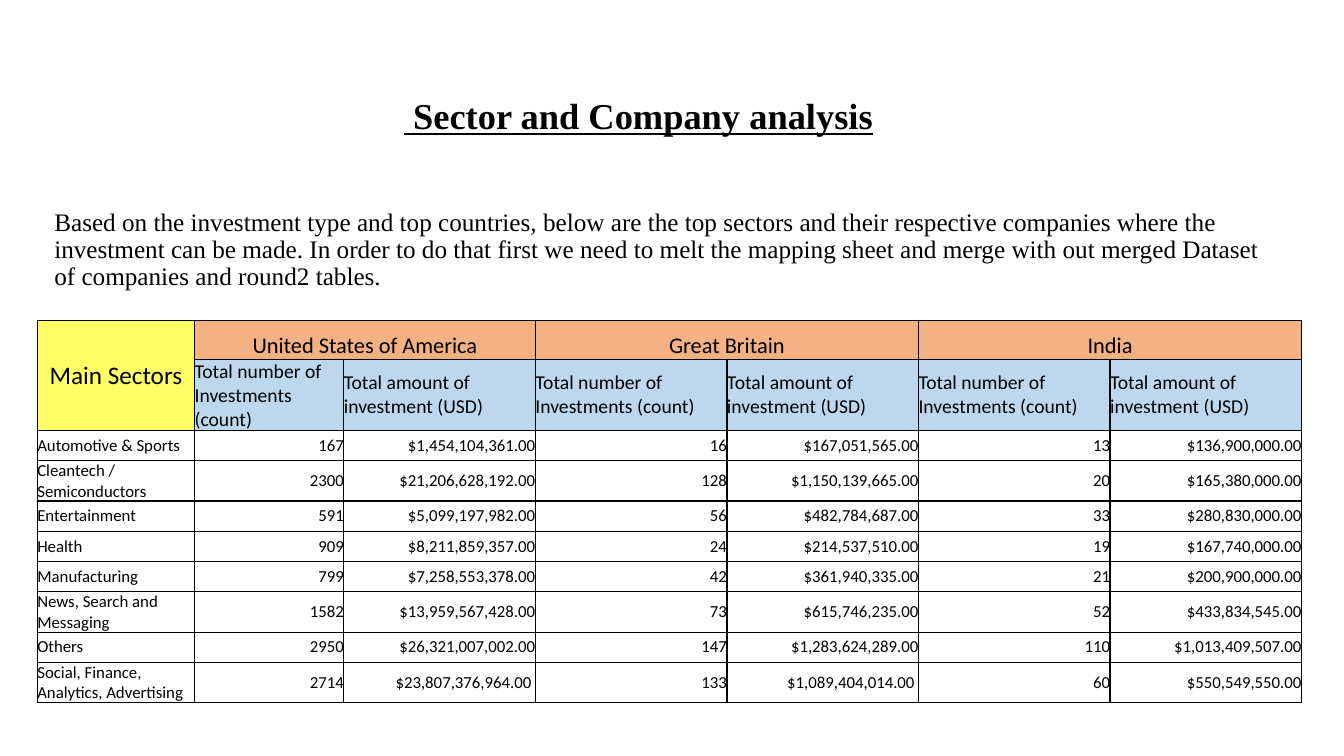
from dataclasses import dataclass

from lxml import etree
from pptx import Presentation
from pptx.dml.color import RGBColor
from pptx.enum import text as t
from pptx.oxml.ns import qn
from pptx.util import Inches, Pt


@dataclass(frozen=True)
class Theme:
    ink: str = "000000"
    corner: str = "FFFF66"
    country: str = "F4B183"
    measure: str = "BDD7EE"
    serif: str = "Times New Roman"
    sans: str = "Calibri"
    title: int = 26
    lead: int = 18
    group: int = 16
    head: int = 14
    data: int = 12
    rule: int = 1


THEME = Theme()
ALIGN = t.PP_ALIGN
ANCHOR = t.MSO_ANCHOR

TITLE = " Sector and Company analysis"
INTRO = (
    "Based on the investment type and top countries, below are the top sectors "
    "and their respective companies where the investment can be made. In order "
    "to do that first we need to melt the mapping sheet and merge with out merged "
    "Dataset of companies and round2 tables."
)
COUNTRIES = ["United States of America", "Great Britain", "India"]
MEASURES = ["Total number of Investments (count)", "Total amount of investment (USD)"]
SECTORS = [
    ("Automotive & Sports", "167", "$1,454,104,361.00", "16", "$167,051,565.00",
     "13", "$136,900,000.00"),
    ("Cleantech / Semiconductors", "2300", "$21,206,628,192.00", "128",
     "$1,150,139,665.00", "20", "$165,380,000.00"),
    ("Entertainment", "591", "$5,099,197,982.00", "56", "$482,784,687.00",
     "33", "$280,830,000.00"),
    ("Health", "909", "$8,211,859,357.00", "24", "$214,537,510.00",
     "19", "$167,740,000.00"),
    ("Manufacturing", "799", "$7,258,553,378.00", "42", "$361,940,335.00",
     "21", "$200,900,000.00"),
    ("News, Search and Messaging", "1582", "$13,959,567,428.00", "73",
     "$615,746,235.00", "52", "$433,834,545.00"),
    ("Others", "2950", "$26,321,007,002.00", "147", "$1,283,624,289.00",
     "110", "$1,013,409,507.00"),
    ("Social, Finance, Analytics, Advertising", "2714", "$23,807,376,964.00 ",
     "133", "$1,089,404,014.00 ", "60", "$550,549,550.00"),
]
WIDTHS = [1.56, 1.48] + [1.9] * 5
HEIGHTS = [0.39, 0.6] + [0.3] * len(SECTORS)


def write(frame, words, size, face, align=ALIGN.LEFT):
    """Set one styled paragraph and return it."""
    frame.text = words
    para = frame.paragraphs[0]
    para.alignment = align
    font = para.runs[0].font
    font.size, font.name = Pt(size), face
    font.color.rgb = RGBColor.from_string(THEME.ink)
    return para


def add_text(slide, box, words, size, align=ALIGN.LEFT, anchor=ANCHOR.TOP):
    frame = slide.shapes.add_textbox(*map(Inches, box)).text_frame
    frame.word_wrap = True
    frame.vertical_anchor = anchor
    para = write(frame, words, size, THEME.serif, align)
    para.line_spacing = 0.9
    return para


def add_rules(cell):
    """Draw a line on all four sides of the cell."""
    props = cell._tc.get_or_add_tcPr()
    for spot, side in enumerate(("a:lnL", "a:lnR", "a:lnT", "a:lnB")):
        line = etree.Element(qn(side), w=str(Pt(THEME.rule)))
        fill = etree.SubElement(line, qn("a:solidFill"))
        etree.SubElement(fill, qn("a:srgbClr"), val=THEME.ink)
        props.insert(spot, line)


def fill_cell(cell, words, size, align=ALIGN.LEFT, anchor=ANCHOR.MIDDLE, color=None):
    write(cell.text_frame, words, size, THEME.sans, align)
    cell.vertical_anchor = anchor
    if color:
        cell.fill.solid()
        cell.fill.fore_color.rgb = RGBColor.from_string(color)


def add_grid(slide):
    box = map(Inches, (0.37, 3.18, sum(WIDTHS), sum(HEIGHTS)))
    grid = slide.shapes.add_table(len(HEIGHTS), len(WIDTHS), *box).table
    grid.first_row = grid.horz_banding = False
    for col, width in zip(grid.columns, WIDTHS):
        col.width = Inches(width)
    for row, height in zip(grid.rows, HEIGHTS):
        row.height = Inches(height)
    for cell in grid.iter_cells():
        cell.margin_left = cell.margin_right = 0
        cell.margin_top = cell.margin_bottom = 0
        cell.fill.background()
        add_rules(cell)
    return grid


def fill_heads(grid):
    corner = grid.cell(0, 0)
    corner.merge(grid.cell(1, 0))
    fill_cell(corner, "Main Sectors", THEME.lead, ALIGN.CENTER, color=THEME.corner)
    for i, country in enumerate(COUNTRIES):
        left = 1 + i * len(MEASURES)
        top = grid.cell(0, left)
        top.merge(grid.cell(0, left + len(MEASURES) - 1))
        fill_cell(top, country, THEME.group, ALIGN.CENTER, ANCHOR.BOTTOM, THEME.country)
        for j, label in enumerate(MEASURES):
            fill_cell(grid.cell(1, left + j), label, THEME.head, color=THEME.measure)


def fill_data(grid):
    for r, sector in enumerate(SECTORS, 2):
        for c, words in enumerate(sector):
            align = ALIGN.RIGHT if c else ALIGN.LEFT
            fill_cell(grid.cell(r, c), words, THEME.data, align)


def main():
    deck = Presentation()
    deck.slide_width, deck.slide_height = Inches(13.33), Inches(7.5)
    slide = deck.slides.add_slide(deck.slide_layouts[6])
    title = add_text(slide, (1.24, 0.7, 10.19, 0.94), TITLE, THEME.title,
                     ALIGN.CENTER, ANCHOR.MIDDLE)
    title.runs[0].font.bold = title.runs[0].font.underline = True
    intro = add_text(slide, (0.44, 2.03, 12.21, 4.75), INTRO, THEME.lead)
    intro.space_before = Pt(10)
    grid = add_grid(slide)
    fill_heads(grid)
    fill_data(grid)
    deck.save("out.pptx")


if __name__ == "__main__":
    main()
